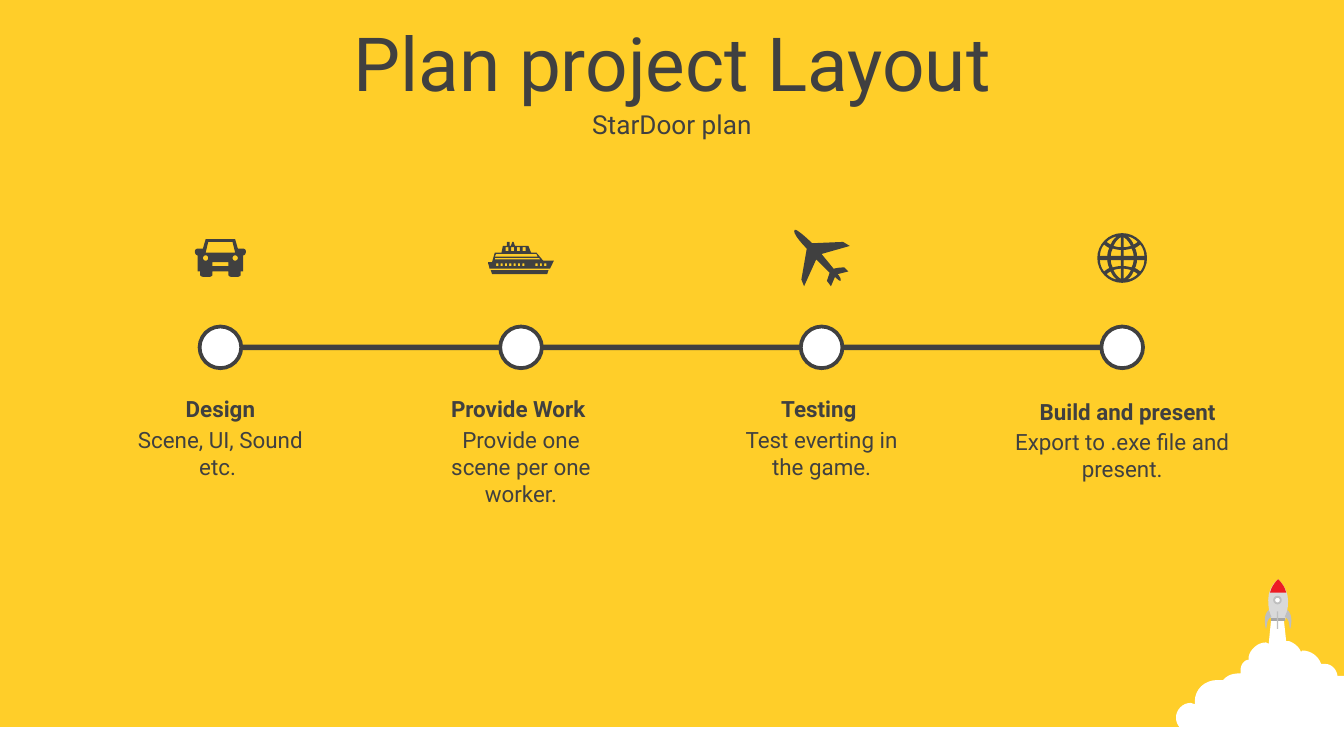
from dataclasses import dataclass
from pptx import Presentation
from pptx.dml.color import RGBColor
from pptx.enum.shapes import MSO_SHAPE as Kind
from pptx.enum.text import MSO_ANCHOR as Anchor, MSO_AUTO_SIZE as Fit, PP_ALIGN as Align
from pptx.util import Inches, Pt


@dataclass(frozen=True)
class Theme:
    back: str = "FFCE29"
    ink: str = "404040"
    white: str = "FFFFFF"
    hull: str = "D9D9D9"
    trim: str = "A6A6A6"
    fin: str = "BFBFBF"
    nose: str = "ED1C24"
    font: str = "Roboto"
    title: int = 40
    sub: int = 14
    text: int = 12


THEME = Theme()
WIDE = 10
HIGH = WIDE * 9 / 16
TITLE, SUB = "Plan project Layout", "StarDoor plan"

# Heading, text, heading width, text width, text height, heading shift, drop
STEPS = [
    ("Design", "Scene, UI, Sound etc. ", 1.45, 1.45, 0.5, 0, 0),
    ("Provide Work ", "Provide one scene per one worker.", 1.45, 1.45, 0.71, 0, 0),
    ("Testing ", "Test everting in the game.", 1.45, 1.45, 0.5, 0, 0),
    ("Build and present", "Export to .exe file and present.", 1.79, 1.88, 0.5, 0.04, 0.02),
]
LEFT, RIGHT = 1.64, 8.35
GAP = (RIGHT - LEFT) / (len(STEPS) - 1)
ICON_Y, DOT_Y, HEAD_Y, TEXT_Y = 1.92, 2.43, 2.89, 3.12
DOT, BAR = 0.31, 0.04
LINE_Y = DOT_Y + DOT / 2


# Outlines are in hundredths of an inch: a pair is a corner, six numbers a curve.
def trace(marks, cuts=8):
    """Turn corners and Bezier curves into a list of points."""
    pts = []
    for mark in marks:
        if len(mark) == 2:
            pts.append(mark)
            continue
        ends = [pts[-1], mark[:2], mark[2:4], mark[4:]]
        for k in range(1, cuts + 1):
            t = k / cuts
            mix = ((1 - t) ** 3, 3 * t * (1 - t) ** 2, 3 * t * t * (1 - t), t ** 3)
            pts.append(tuple(sum(m * e[i] for m, e in zip(mix, ends)) for i in (0, 1)))
    return pts


def flip(pts, sx=-1, sy=1):
    return [(sx * x, sy * y) for x, y in pts]


def box(x, y, w, h):
    return [(x, y), (x + w, y), (x + w, y + h), (x, y + h)]


def disc(x, y, r):
    k = 0.55 * r
    return trace([(x + r, y), (x + r, y + k, x + k, y + r, x, y + r),
                  (x - k, y + r, x - r, y + k, x - r, y),
                  (x - r, y - k, x - k, y - r, x, y - r),
                  (x + k, y - r, x + r, y - k, x + r, y)])


SIDE = trace([(11, -14), (13, -7), (17, -7), (18, -7, 19, -6, 19, -5),
              (19, -3, 18, -2, 17, -2), (17, 10), (15, 10), (15, 13),
              (15, 13, 14, 14, 13, 14), (8, 14), (7, 14, 6, 13, 6, 13), (6, 10)])
CAR = [SIDE + flip(SIDE)[::-1], box(-6, 3, 12, 3), disc(-11, 0, 2), disc(11, 0, 2),
       [(-9, -12), (-11, -4), (11, -4), (9, -12)]]

SHIP = [
    trace([(-6.5, -12), (-5.5, -12), (-4.5, -9), (5.5, -9), (7.5, -4), (11.5, -4),
           (16.5, 2), (24.5, 2), (23.5, 4, 22.5, 6, 21.5, 8), (-23.5, 8),
           (-23.5, 6, -24.5, 5, -24.5, 3), (-21.5, 3), (-19.5, -4), (-14.5, -4),
           (-13.5, -9), (-10.5, -9), (-10.5, -12), (-8.5, -12), (-8.5, -9), (-7.5, -9)]),
    [(-22.5, 9), (20.5, 9), (19.5, 12), (-21.5, 12)],
    [(-19.5, 0), (-19.5, 1), (14.5, 1), (13.5, 0)],
    [(-18.5, -3), (-19.5, -1), (12.5, -1), (11.5, -3)],
    *[box(-18.5 + 3.25 * k, 4, 1.6, 2) for k in (*range(7), 9, 10, 11)],
    *[box(-11.5 + 4.25 * k, -8, 2.2, 3) for k in range(4)],
]

PLANE = [trace([
    (20, 10), (12, 12), (13, 13, 15, 16, 14, 17), (13, 17, 11, 15, 10, 14), (7, 21),
    (4, 17), (6, 11), (-4, 1), (-13, 21), (-15, 16), (-11, -7),
    (-15, -11, -22, -19, -20, -21), (-19, -22, -11, -15, -7, -11), (16, -12),
    (21, -9), (0, -3), (9, 8), (12, 7, 17, 7, 17, 7)])]

CELLS = [
    [(1, 1.5), (8.5, 1.5), (8.5, 3, 8, 5, 7, 7), (5, 6.5, 3, 6, 1, 6)],
    [(11, 1.5), (16.5, 1.5), (16.5, 4.5, 15.5, 7.5, 13.5, 10), (12, 9, 11, 8, 9.5, 7.5),
     (10.5, 5.5, 11, 3.5, 11, 1.5)],
    [(1, 8), (3, 8, 5, 8.5, 6.5, 9), (5, 12, 3.5, 14, 1, 15.5)],
    [(8.5, 10), (9.5, 10.5, 10.5, 11, 11.5, 12), (9.5, 14, 7, 15.5, 4, 16),
     (6, 14.5, 7.5, 12.5, 8.5, 10)],
]
GLOBE = [disc(0, 0, 18.5)] + [flip(trace(cell), sx, sy) for cell in CELLS
                              for sx in (1, -1) for sy in (1, -1)]
ICONS = [CAR, SHIP, PLANE, GLOBE]

CLOUD = trace([
    (946, 459), (955, 459), (957, 477), (959, 477), (962, 478, 965, 480, 967, 483),
    (968, 485), (969, 484), (975, 484, 981, 488, 983, 494), (986, 494),
    (990, 494, 994, 497, 995, 502), (995, 503), (1000, 503), (1000, 561), (893, 561),
    (893, 543), (892, 544), (891, 545, 889, 545, 886, 545), (880, 545, 875, 540, 875, 534),
    (875, 528, 880, 523, 886, 523), (889, 524), (889, 522), (889, 513, 896, 506, 906, 506),
    (910, 506), (911, 505), (914, 502, 918, 501, 923, 501), (923, 499),
    (923, 495, 925, 492, 928, 491), (929, 491), (929, 489),
    (930, 483, 936, 478, 942, 478), (944, 479)])
ROCKET = (9.51, 4.31)
FIN = trace([(-7, 23), (-5, 28), (-9, 30, -8, 35, -9, 37), (-10, 34, -11, 26, -7, 23)])
PARTS = [
    (trace([(-5, 31), (-7, 22, -11, 9, 0, 0), (11, 10, 7, 23, 5, 31)]), THEME.hull),
    (box(-5, 29, 10, 2), THEME.trim),
    (trace([(0, 0), (3, 3, 5, 6, 6, 10), (-6, 10), (-5, 6, -3, 3, 0, 0)]), THEME.nose),
    (FIN, THEME.fin),
    (flip(FIN), THEME.fin),
]

deck = Presentation()
deck.slide_width, deck.slide_height = Inches(WIDE), Inches(HIGH)
slide = deck.slides.add_slide(deck.slide_layouts[0])
shapes = slide.shapes


def tint(fill, color):
    fill.solid()
    fill.fore_color.rgb = RGBColor.from_string(color)


def paint(shape, fill, line=None, width=1):
    shape.shadow.inherit = False
    tint(shape.fill, fill)
    if line:
        tint(shape.line.fill, line)
        shape.line.width = Pt(width)
    else:
        shape.line.fill.background()


def add(kind, x, y, w, h, *look):
    paint(shapes.add_shape(kind, Inches(x), Inches(y), Inches(w), Inches(h)), *look)


def draw(rings, fill, x=0, y=0):
    """Add one outline; every ring after the first is a hole or a part of its own."""
    rings = [[(Inches(x + px / 100), Inches(y + py / 100)) for px, py in ring]
             for ring in rings]
    pen = shapes.build_freeform(*rings[0][0])
    pen.add_line_segments(rings[0][1:])
    for ring in rings[1:]:
        pen.move_to(*ring[0])
        pen.add_line_segments(ring[1:])
    paint(pen.convert_to_shape(), fill)


def write(shape, text, size, bold=False, anchor=Anchor.TOP, fit=Fit.NONE):
    frame = shape.text_frame
    frame.text = text
    frame.word_wrap, frame.auto_size = True, fit
    frame.vertical_anchor = anchor
    para = frame.paragraphs[0]
    para.alignment, para.space_before = Align.CENTER, Pt(0)
    font = para.runs[0].font
    font.name, font.size, font.bold = THEME.font, Pt(size), bold
    font.color.rgb = RGBColor.from_string(THEME.ink)


def label(mid, y, w, h, text, bold=False):
    area = shapes.add_textbox(Inches(mid - w / 2), Inches(y), Inches(w), Inches(h))
    write(area, text, THEME.text, bold, fit=Fit.SHAPE_TO_FIT_TEXT)


tint(slide.background.fill, THEME.back)
add(Kind.RECTANGLE, 0, 5.41, WIDE, 0.24, THEME.white)
draw([CLOUD], THEME.white)
for part, color in PARTS:
    draw([part], color, *ROCKET)
add(Kind.OVAL, 9.48, 4.44, 0.05, 0.05, THEME.white, THEME.fin)
add(Kind.RECTANGLE, 9.5, 4.55, 0.01, 0.13, THEME.fin)

heads = [(TITLE, THEME.title, 0.14, 0.63), (SUB, THEME.sub, 0.77, 0.31)]
for holder, (text, size, y, h) in zip(slide.placeholders, heads):
    holder.left, holder.top = Inches(0), Inches(y)
    holder.width, holder.height = Inches(WIDE), Inches(h)
    write(holder, text, size, anchor=Anchor.MIDDLE)

add(Kind.RECTANGLE, LEFT, LINE_Y - BAR / 2, RIGHT - LEFT, BAR, THEME.ink)
for i, (step, icon) in enumerate(zip(STEPS, ICONS)):
    head, text, head_w, text_w, text_h, shift, drop = step
    mid = LEFT + i * GAP
    draw([*icon], THEME.ink, mid, ICON_Y)
    add(Kind.OVAL, mid - DOT / 2, DOT_Y, DOT, DOT, THEME.white, THEME.ink, 2)
    label(mid, TEXT_Y + drop, text_w, text_h, text)
    label(mid + shift, HEAD_Y + drop, head_w, 0.3, head, True)

deck.save("out.pptx")
